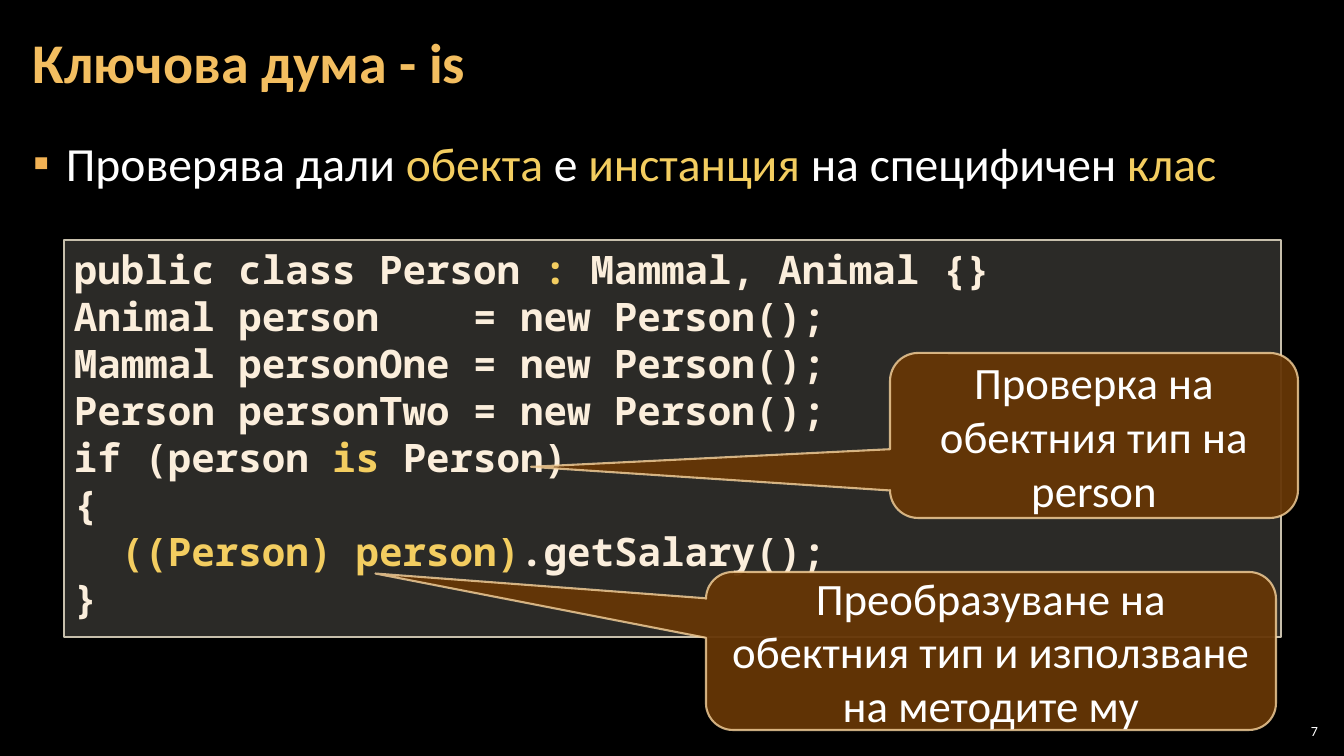
from lxml import etree
from pptx import Presentation
from pptx.dml.color import RGBColor
from pptx.enum.shapes import MSO_SHAPE
from pptx.enum.text import MSO_ANCHOR, MSO_AUTO_SIZE, PP_ALIGN
from pptx.oxml.ns import qn
from pptx.util import Emu, Pt

SLIDE_WIDTH, SLIDE_HEIGHT = 1344, 756
EMU_PER_PX = 12192000 / SLIDE_WIDTH

RECTANGLE = MSO_SHAPE.RECTANGLE
CALLOUT = MSO_SHAPE.ROUNDED_RECTANGULAR_CALLOUT
TOP, MIDDLE = MSO_ANCHOR.TOP, MSO_ANCHOR.MIDDLE
LEFT, CENTER, RIGHT = PP_ALIGN.LEFT, PP_ALIGN.CENTER, PP_ALIGN.RIGHT
NO_AUTOFIT = MSO_AUTO_SIZE.NONE

BLACK = RGBColor(0x00, 0x00, 0x00)
WHITE = RGBColor(0xFF, 0xFF, 0xFF)
TITLE_GOLD = RGBColor(0xF3, 0xBE, 0x60)
BULLET_GOLD = RGBColor(0xF2, 0xB2, 0x54)
HIGHLIGHT = RGBColor(0xF3, 0xCD, 0x60)
CODE_TEXT = RGBColor(0xFB, 0xEE, 0xDC)
CODE_FILL = RGBColor(0xD9, 0xD5, 0xC7)
CODE_LINE = RGBColor(0xC7, 0xBF, 0xAC)
CALLOUT_FILL = RGBColor(0x66, 0x36, 0x06)
CALLOUT_LINE = RGBColor(0xF8, 0xD4, 0x9E)

TEXT_FONT, CODE_FONT = "Calibri", "Noto Sans Mono"

# Text between vertical bars is highlighted.
DEFINITION = "Проверява дали |обекта |е |инстанция |на специфичен |клас"
CODE = """public class Person |:| Mammal, Animal {}
Animal person    = new Person();
Mammal personOne = new Person();
Person personTwo = new Person();
if (person |is| Person)
{
  |((Person) person)|.getSalary();
}"""
CALLOUTS = [
    ("Преобразуване на обектния тип и използване на методите му",
     (706, 572, 570, 158), (-1.08, -0.49, 0.17)),
    ("Проверка на обектния тип на person",
     (890, 353, 408, 165), (-1.38, 0.19, 0.17)),
]


def px(length):
    return Emu(round(length * EMU_PER_PX))


def place(shape, box):
    shape.left, shape.top, shape.width, shape.height = map(px, box)


def set_alpha(fill, percent):
    """Make a solid fill partly transparent."""
    color = fill._xPr.find(qn("a:solidFill"))[0]
    etree.SubElement(color, qn("a:alpha"), val=str(percent * 1000))


def add_bullet(para, char, color, indent):
    properties = para._p.get_or_add_pPr()
    properties.set("marL", str(px(indent)))
    properties.set("indent", str(-px(indent)))
    bullet_color = etree.SubElement(properties, qn("a:buClr"))
    etree.SubElement(bullet_color, qn("a:srgbClr"), val=str(color))
    etree.SubElement(properties, qn("a:buChar"), char=char)


def write_text(shape, text, size, color=WHITE, font=TEXT_FONT, bold=False,
               align=LEFT, anchor=MIDDLE, margins=(10, 5), line_spacing=None,
               wrap=True):
    """Fill a shape with one paragraph per line and return its paragraphs."""
    frame = shape.text_frame
    frame.auto_size = NO_AUTOFIT
    frame.word_wrap = wrap
    frame.vertical_anchor = anchor
    frame.margin_left = frame.margin_right = px(margins[0])
    frame.margin_top = frame.margin_bottom = px(margins[1])
    for number, line in enumerate(text.split("\n")):
        para = frame.add_paragraph() if number else frame.paragraphs[0]
        para.alignment = align
        if line_spacing:
            para.line_spacing = line_spacing
        for position, part in enumerate(line.split("|")):
            span = para.add_run()
            span.text = part
            span.font.name = font
            span.font.size = Pt(size)
            span.font.bold = bold
            span.font.color.rgb = HIGHLIGHT if position % 2 else color
    return frame.paragraphs


def add_panel(page, kind, box, fill, fill_alpha, line, line_width,
              line_alpha=100):
    panel = page.shapes.add_shape(kind, *map(px, box))
    panel.shadow.inherit = False
    panel.fill.solid()
    panel.fill.fore_color.rgb = fill
    set_alpha(panel.fill, fill_alpha)
    panel.line.color.rgb = line
    panel.line.width = Pt(line_width)
    set_alpha(panel.line.fill, line_alpha)
    return panel


def add_callout(page, text, box, adjustments):
    callout = add_panel(page, CALLOUT, box, CALLOUT_FILL, 95,
                        CALLOUT_LINE, 1.5, line_alpha=80)
    for index, value in enumerate(adjustments):
        callout.adjustments[index] = value
    write_text(callout, text, 32, align=CENTER)


def add_code(page):
    panel = add_panel(page, RECTANGLE, (64, 240, 1217, 397),
                      CODE_FILL, 20, CODE_LINE, 1)
    write_text(panel, CODE, 28, color=CODE_TEXT, font=CODE_FONT, bold=True,
               anchor=TOP)


def add_page_number(page, number):
    box = page.shapes.add_textbox(*map(px, (1275, 720, 47, 21)))
    write_text(box, number, 10, align=RIGHT, margins=(4, 4))


def fill_placeholders(page):
    title, body = page.placeholders
    place(title, (21, 4, 1055, 122))
    write_text(title, "Ключова дума - is", 40, color=TITLE_GOLD, bold=True,
               margins=(12, 4), line_spacing=0.9)
    place(body, (21, 127, 1301, 614))
    para = write_text(body, DEFINITION, 34, anchor=TOP, margins=(12, 4),
                      line_spacing=1.05)[0]
    para.space_before = Pt(0)
    para.space_after = Pt(6)
    add_bullet(para, "▪", BULLET_GOLD, 33)


def main():
    deck = Presentation()
    deck.slide_width, deck.slide_height = px(SLIDE_WIDTH), px(SLIDE_HEIGHT)
    page = deck.slides.add_slide(deck.slide_layouts[1])
    page.background.fill.solid()
    page.background.fill.fore_color.rgb = BLACK
    fill_placeholders(page)
    add_code(page)
    for text, box, adjustments in CALLOUTS:
        add_callout(page, text, box, adjustments)
    add_page_number(page, "7")
    deck.save("out.pptx")


if __name__ == "__main__":
    main()
